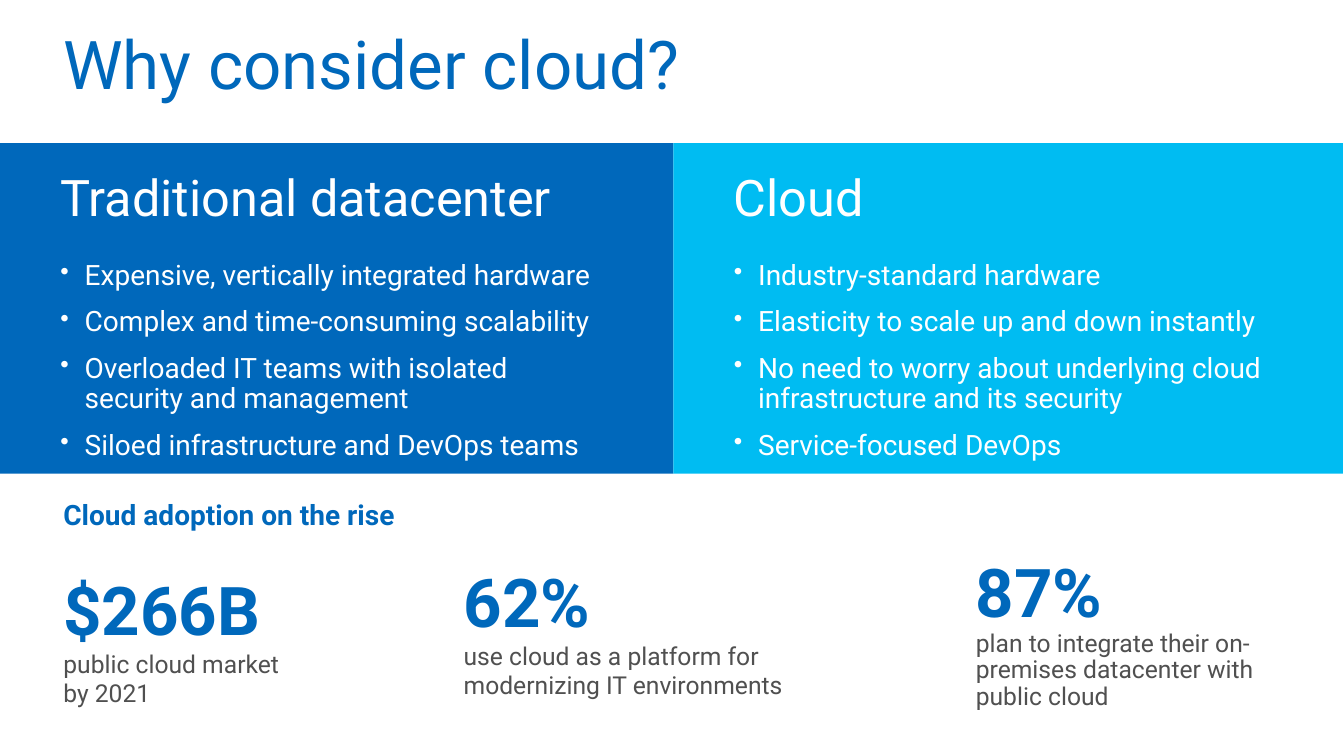
"""Build the "Why consider cloud?" comparison slide."""
from lxml import etree
from pptx import Presentation, util as u
from pptx.dml.color import RGBColor
from pptx.enum import shapes, text
from pptx.oxml.ns import qn

PX = 9144
BLUE = RGBColor(0x00, 0x68, 0xBB)
CYAN = RGBColor(0x00, 0xBC, 0xF2)
GRAY = RGBColor(0x50, 0x50, 0x50)
WHITE = RGBColor(0xFF, 0xFF, 0xFF)


def add_line(tf, words, size, color, bold=False, spacing=None):
    """Write one paragraph, reusing the empty first one."""
    p = tf.add_paragraph() if tf.text else tf.paragraphs[0]
    p.alignment = text.PP_ALIGN.LEFT
    p.line_spacing = spacing
    r = p.add_run()
    r.text = words
    r.font.name = "Roboto"
    r.font.size = u.Pt(size)
    r.font.bold = bold
    r.font.color.rgb = color
    return p


def add_box(s, *bounds):
    """Add a wrapping text box and return its text frame."""
    tf = s.shapes.add_textbox(*(n * PX for n in bounds)).text_frame
    tf.word_wrap = True
    return tf


prs = Presentation()
prs.slide_width, prs.slide_height = 1333 * PX, 750 * PX
s = prs.slides.add_slide(prs.slide_layouts[6])

panels = [
    (0, 668, BLUE, "Traditional datacenter", [
        "Expensive, vertically integrated hardware",
        "Complex and time-consuming scalability",
        "Overloaded IT teams with isolated security and management",
        "Siloed infrastructure and DevOps teams",
    ]),
    (668, 664, CYAN, "Cloud", [
        "Industry-standard hardware",
        "Elasticity to scale up and down instantly",
        "No need to worry about underlying cloud infrastructure and its security",
        "Service-focused DevOps",
    ]),
]
for left, width, fill, heading, points in panels:
    sp = s.shapes.add_shape(shapes.MSO_SHAPE.RECTANGLE, left * PX, 142 * PX, width * PX, 328 * PX)
    sp.shadow.inherit = False
    sp.fill.solid()
    sp.fill.fore_color.rgb = fill
    sp.line.fill.background()
    tf = sp.text_frame
    tf.word_wrap = True
    tf.vertical_anchor = text.MSO_ANCHOR.TOP
    tf.margin_left = tf.margin_right = 60 * PX
    tf.margin_top, tf.margin_bottom = 30 * PX, 16 * PX
    p = add_line(tf, heading, 36, WHITE, spacing=0.9)
    p.space_before, p.space_after = u.Pt(5.9), u.Pt(12)
    for point in points:
        p = add_line(tf, point, 20, WHITE, spacing=0.9)
        p.space_before = u.Pt(11.7)
        pPr = p._p.get_or_add_pPr()
        pPr.set("marL", str(24 * PX))
        pPr.set("indent", str(-24 * PX))
        etree.SubElement(pPr, qn("a:buSzPct"), val="90000")
        etree.SubElement(pPr, qn("a:buChar"), char="•")

tf = add_box(s, 53, 489, 711, 44)
tf.auto_size = text.MSO_AUTO_SIZE.SHAPE_TO_FIT_TEXT
add_line(tf, "Cloud adoption on the rise", 20, BLUE, bold=True)

stats = [
    (53, 553, 248, 160, "$266B", "public cloud market by 2021", None),
    (450, 545, 359, 160, "62%", "use cloud as a platform for modernizing IT environments", None),
    (958, 535, 308, 181, "87%",
     "plan to integrate their on-premises datacenter with public cloud", 0.9),
]
for *bounds, figure, caption, spacing in stats:
    tf = add_box(s, *bounds)
    tf.auto_size = text.MSO_AUTO_SIZE.SHAPE_TO_FIT_TEXT
    tf.vertical_anchor = text.MSO_ANCHOR.MIDDLE
    tf.margin_left = tf.margin_right = tf.margin_top = tf.margin_bottom = 10 * PX
    add_line(tf, figure, 48, BLUE, bold=True)
    add_line(tf, caption, 17.6, GRAY, spacing=spacing)

tf = add_box(s, 53, 26, 1147, 103)
add_line(tf, "Why consider cloud?", 48, BLUE, spacing=0.9)

prs.save("out.pptx")
